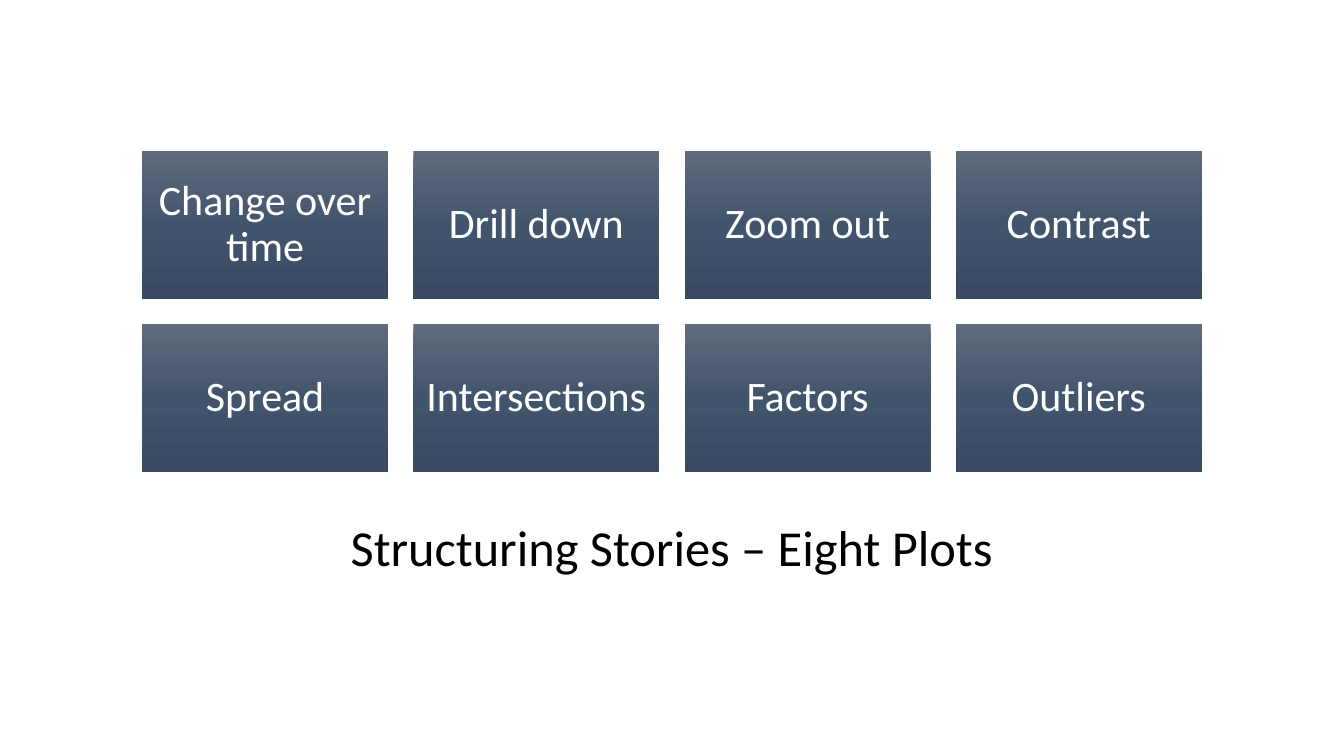
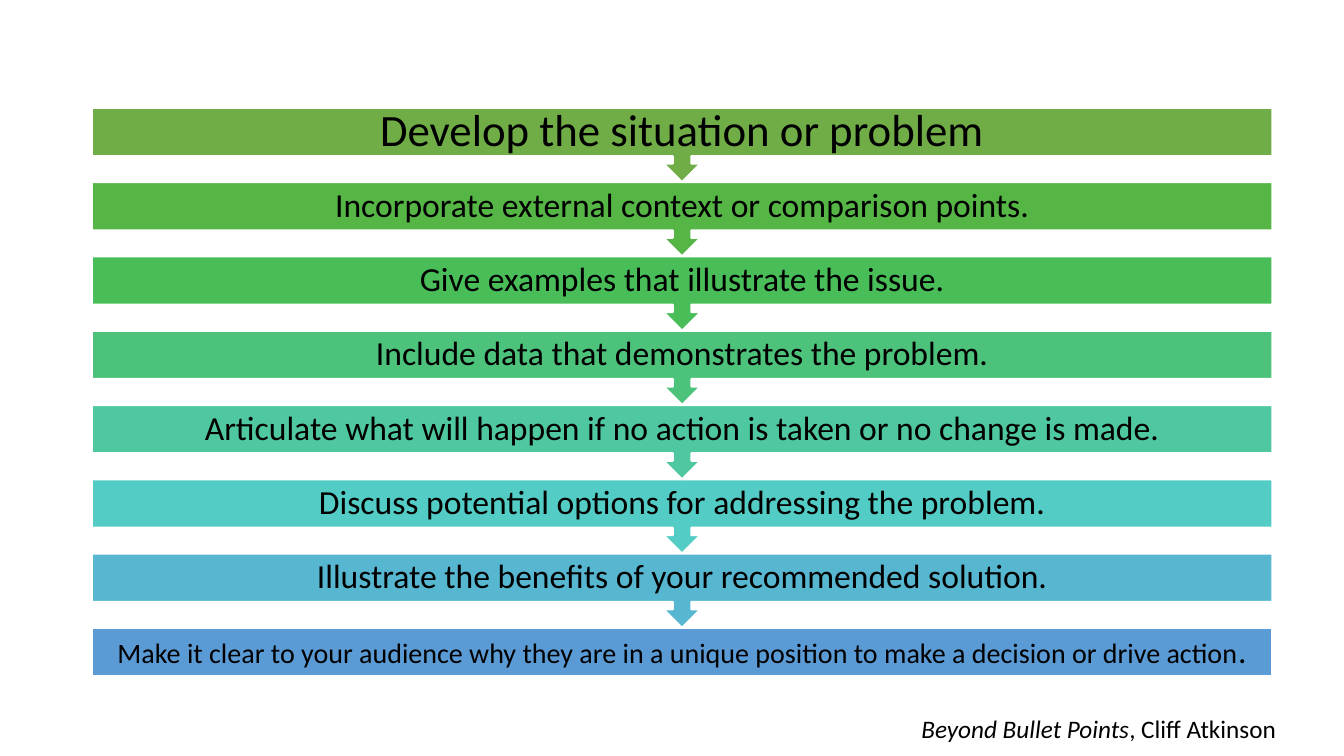
from copy import deepcopy
from dataclasses import dataclass

from pptx import Presentation
from pptx import util as u
from pptx.dml.color import RGBColor
from pptx.enum import shapes, text
from pptx.oxml.ns import qn

PX = 9144


@dataclass(frozen=True)
class Theme:
    font: str = "Calibri"
    ink: str = "000000"
    paper: str = "FFFFFF"
    tile: tuple = ((0, "606B7D"), (0.5, "42546C"), (1, "394A62"))
    steps: tuple = ("70AD47", "55B646", "48BD58", "4CC27B",
                    "4FC7A0", "53CCC5", "57B7D1", "5B9BD5")
    title: int = 36
    lead: int = 32
    plot: int = 30
    body: int = 24
    small: int = 20
    source: int = 18
    spacing: float = 0.9
    outline: float = 1.5


@dataclass(frozen=True)
class Box:
    x: float
    y: float
    w: float
    h: float

    def emu(self):
        return [round(v * PX) for v in (self.x, self.y, self.w, self.h)]


THEME = Theme()
SLIDE = Box(0, 0, 1333, 750)
PLOTS = ("Change over time", "Drill down", "Zoom out", "Contrast",
         "Spread", "Intersections", "Factors", "Outliers")
STEPS = (
    "Develop the situation or problem",
    "Incorporate external context or comparison points.",
    "Give examples that illustrate the issue.",
    "Include data that demonstrates the problem.",
    "Articulate what will happen if no action is taken or no change is made.",
    "Discuss potential options for addressing the problem.",
    "Illustrate the benefits of your recommended solution.",
    "Make it clear to your audience why they are in a unique position "
    "to make a decision or drive action",
)


def add_run(p, content, size, color=THEME.ink, italic=False):
    r = p.add_run()
    r.text = content
    r.font.name = THEME.font
    r.font.size = u.Pt(size)
    r.font.italic = italic
    r.font.color.rgb = RGBColor.from_string(color)


def write(sp, content, size, color=THEME.ink, italic=False, inset=(10, 5),
          align=text.PP_ALIGN.CENTER, anchor=text.MSO_ANCHOR.MIDDLE,
          spacing=THEME.spacing, wrap=True):
    tf = sp.text_frame
    tf.word_wrap = wrap
    tf.vertical_anchor = anchor
    tf.margin_left = tf.margin_right = inset[0] * PX
    tf.margin_top = tf.margin_bottom = inset[1] * PX
    p = tf.paragraphs[0]
    p.alignment = align
    p.line_spacing = spacing
    add_run(p, content, size, color, italic)
    return p


def add_block(s, kind, box):
    sp = s.shapes.add_shape(kind, *box.emu())
    sp.shadow.inherit = False
    return sp


def shade(sp, stops):
    fill = sp.fill
    fill.gradient()
    fill.gradient_angle = 270
    gs_list = sp.fill._xPr.find(".//" + qn("a:gsLst"))
    while len(gs_list) < len(stops):
        gs_list.append(deepcopy(gs_list[-1]))
    for stop, (position, color) in zip(fill.gradient_stops, stops):
        stop.position = position
        stop.color.rgb = RGBColor.from_string(color)


def plot_grid(s, box, cols=4, rows=2, gap=25):
    w = (box.w - gap * (cols - 1)) / cols
    h = (box.h - gap * (rows - 1)) / rows
    for i, plot in enumerate(PLOTS):
        row, col = divmod(i, cols)
        tile = Box(box.x + col * (w + gap), box.y + row * (h + gap), w, h)
        sp = add_block(s, shapes.MSO_SHAPE.RECTANGLE, tile)
        shade(sp, THEME.tile)
        sp.line.fill.background()
        write(sp, plot, THEME.plot, THEME.paper, inset=(12, 12))


def title(s, box):
    sp = s.shapes.add_textbox(*box.emu())
    write(sp, "Structuring Stories – Eight Plots", THEME.title)


def step_flow(s, box, bar_h=48):
    last = len(STEPS) - 1
    pitch = (box.h - bar_h) / last
    sizes = [THEME.lead] + [THEME.body] * (last - 1) + [THEME.small]
    for i in reversed(range(len(STEPS))):
        kind = shapes.MSO_SHAPE.DOWN_ARROW_CALLOUT
        h = pitch
        if i == last:
            kind, h = shapes.MSO_SHAPE.RECTANGLE, bar_h
        sp = add_block(s, kind, Box(box.x, box.y + i * pitch, box.w, h))
        sp.fill.solid()
        sp.fill.fore_color.rgb = RGBColor.from_string(THEME.steps[i])
        sp.line.color.rgb = RGBColor.from_string(THEME.paper)
        sp.line.width = u.Pt(THEME.outline)
        p = write(sp, STEPS[i], sizes[i], inset=(16, 0))
        if i == last:
            add_run(p, ".", THEME.body)


def source_line(s, box):
    sp = s.shapes.add_textbox(*box.emu())
    p = write(sp, "Beyond Bullet Points", THEME.source, italic=True,
              align=text.PP_ALIGN.LEFT, anchor=text.MSO_ANCHOR.TOP,
              spacing=1.0, wrap=False)
    add_run(p, ", Cliff Atkinson", THEME.source)


def plots_slide(s):
    plot_grid(s, Box(141, 150, 1051, 318))
    title(s, Box(100, 502, 1133, 87))


def steps_slide(s):
    step_flow(s, Box(91, 107, 1171, 564))
    source_line(s, Box(904, 703, 376, 40))


def main():
    prs = Presentation()
    prs.slide_width, prs.slide_height = SLIDE.emu()[2:]
    for build in (plots_slide, steps_slide):
        build(prs.slides.add_slide(prs.slide_layouts[6]))
    prs.save("out.pptx")


if __name__ == "__main__":
    main()
